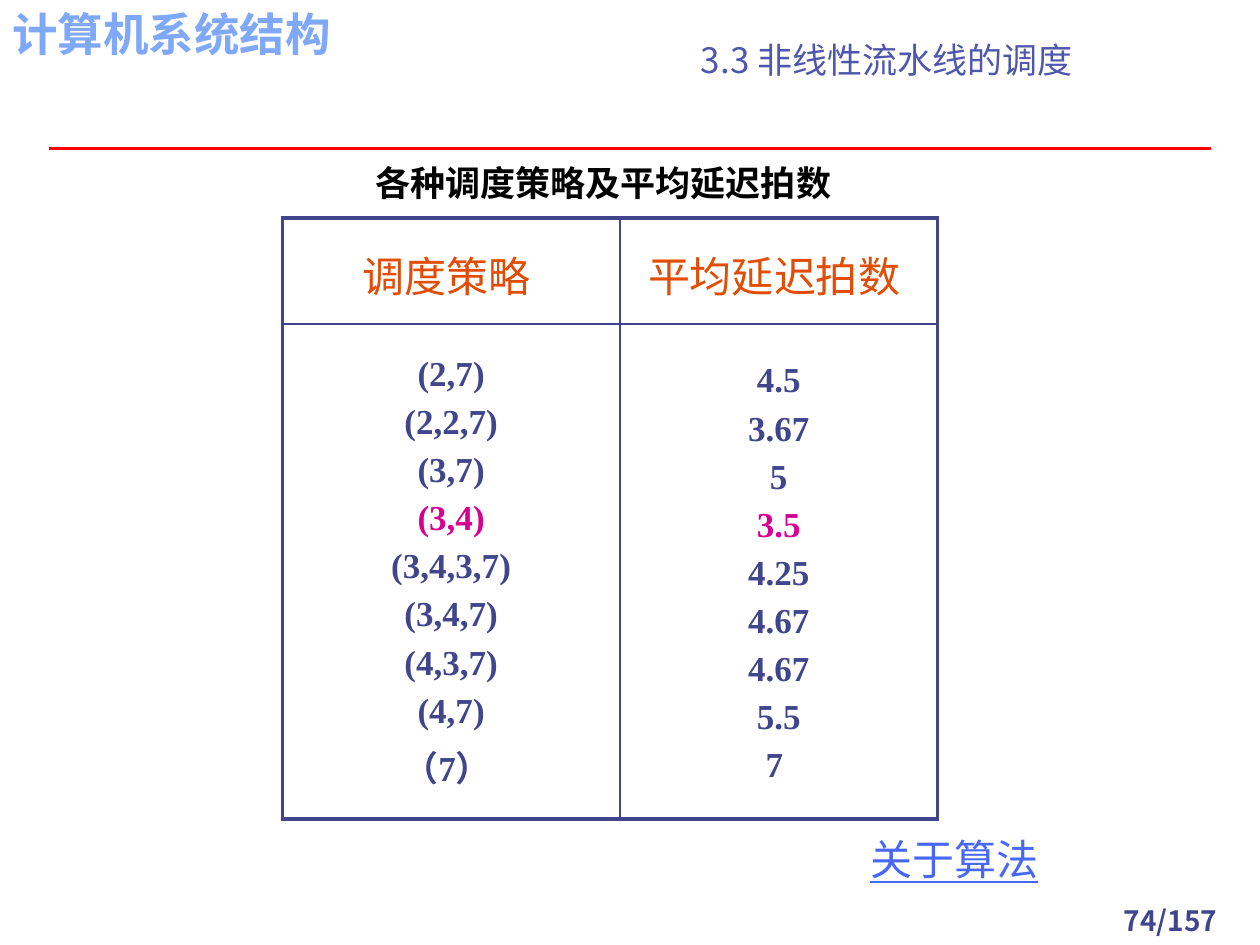
from lxml import etree
from pptx import Presentation
from pptx.dml.color import RGBColor
from pptx.enum.shapes import MSO_CONNECTOR
from pptx.enum.text import MSO_ANCHOR, PP_ALIGN
from pptx.oxml.ns import qn
from pptx.util import Pt

LEFT, MID = PP_ALIGN.LEFT, PP_ALIGN.CENTER
TOP, BASE, CORE = MSO_ANCHOR.TOP, MSO_ANCHOR.BOTTOM, MSO_ANCHOR.MIDDLE
LINE = MSO_CONNECTOR.STRAIGHT
CJK, LATO, TIMES = "Noto Sans CJK SC", "Lato", "Times New Roman"
NAVY, PINK, RUST, RED = "40458C", "D60093", "E24C05", "FF0000"

LABELS = [
    ("74/157", (617.8, 512.6, 102.2, 23.8), MID, TOP, (16, CJK, NAVY, True)),
    ("计算机系统结构", (0, 0, 203.8, 38.9), LEFT, TOP, (26, CJK, "7FA8F9", True)),
    ("3.3 非线性流水线的调度", (306, 19.4, 401.8, 30.2), MID, BASE,
     (20, CJK, "4F56AD", False)),
    ("各种调度策略及平均延迟拍数", (207.4, 88.6, 306, 36), LEFT, TOP,
     (20, LATO, "000000", True)),
    ("关于算法", (490.3, 473, 124.6, 36), LEFT, TOP,
     (24, LATO, "4768F5", False, True)),
]
HEADS = ["调度策略 ", "平均延迟拍数 "]
PLANS = [
    ("(2,7)", "4.5"), ("(2,2,7)", "3.67"), ("(3,7)", "5"),
    ("(3,4)", "3.5"), ("(3,4,3,7)", "4.25"), ("(3,4,7)", "4.67"),
    ("(4,3,7)", "4.67"), ("(4,7)", "5.5"), ("（7） ", "7 "),
]
BEST = 3
COLS, ROWS = [193, 181.4], [60.5, 283]
GRID = (161.3, 124.6)
RULE = (28.1, 85, 691.9, 85)


def rgb(code):
    """Turn a hex string into a colour."""
    return RGBColor.from_string(code)


def style(para, size, face, tint, bold, under=False):
    """Set the font of a whole paragraph."""
    font = para.font
    font.size, font.name, font.bold = Pt(size), face, bold
    font.underline = under
    font.color.rgb = rgb(tint)
    etree.SubElement(font._element, qn("a:ea"), typeface=CJK)


def label(slide, text, area, align, anchor, look):
    """Add one text box."""
    frame = slide.shapes.add_textbox(*map(Pt, area)).text_frame
    frame.word_wrap, frame.vertical_anchor = True, anchor
    para = frame.paragraphs[0]
    para.text, para.alignment = text, align
    style(para, *look)


def edge(cell, side, width):
    """Draw one border of a cell."""
    line = etree.SubElement(cell._tc.get_or_add_tcPr(), qn("a:ln" + side),
                            w=str(Pt(width)))
    fill = etree.SubElement(line, qn("a:solidFill"))
    etree.SubElement(fill, qn("a:srgbClr"), val=NAVY)


def fill_cell(cell, items, row, col):
    """Write the paragraphs of a cell and frame it."""
    outer = {"L": col == 0, "R": col == 1, "T": row == 0, "B": row == 1}
    for side, thick in outer.items():
        edge(cell, side, 2.25 if thick else 1)
    cell.fill.background()
    cell.vertical_anchor = CORE
    frame = cell.text_frame
    frame.text = "\n".join(items)
    for i, para in enumerate(frame.paragraphs):
        para.alignment, para.line_spacing = MID, 1.1
        if i:
            para.space_before = Pt(3.1)
        if row == 0:
            style(para, 24, LATO, RUST, False)
        else:
            style(para, 20, TIMES, PINK if i == BEST else NAVY, True)


def main():
    """Build the slide and save it."""
    deck = Presentation()
    deck.slide_width, deck.slide_height = Pt(720), Pt(540)
    slide = deck.slides.add_slide(deck.slide_layouts[6])

    rule = slide.shapes.add_connector(LINE, *map(Pt, RULE))
    rule.line.color.rgb, rule.line.width = rgb(RED), Pt(2)
    etree.SubElement(rule._element.spPr, qn("a:effectLst"))

    for item in LABELS:
        label(slide, *item)

    size = sum(COLS), sum(ROWS)
    table = slide.shapes.add_table(2, 2, *map(Pt, GRID + size)).table
    table.first_row = table.horz_banding = False
    for row, high in enumerate(ROWS):
        table.rows[row].height = Pt(high)
    for col, (wide, head, body) in enumerate(zip(COLS, HEADS, zip(*PLANS))):
        table.columns[col].width = Pt(wide)
        fill_cell(table.cell(0, col), [head], 0, col)
        fill_cell(table.cell(1, col), body, 1, col)

    deck.save("out.pptx")


if __name__ == "__main__":
    main()
